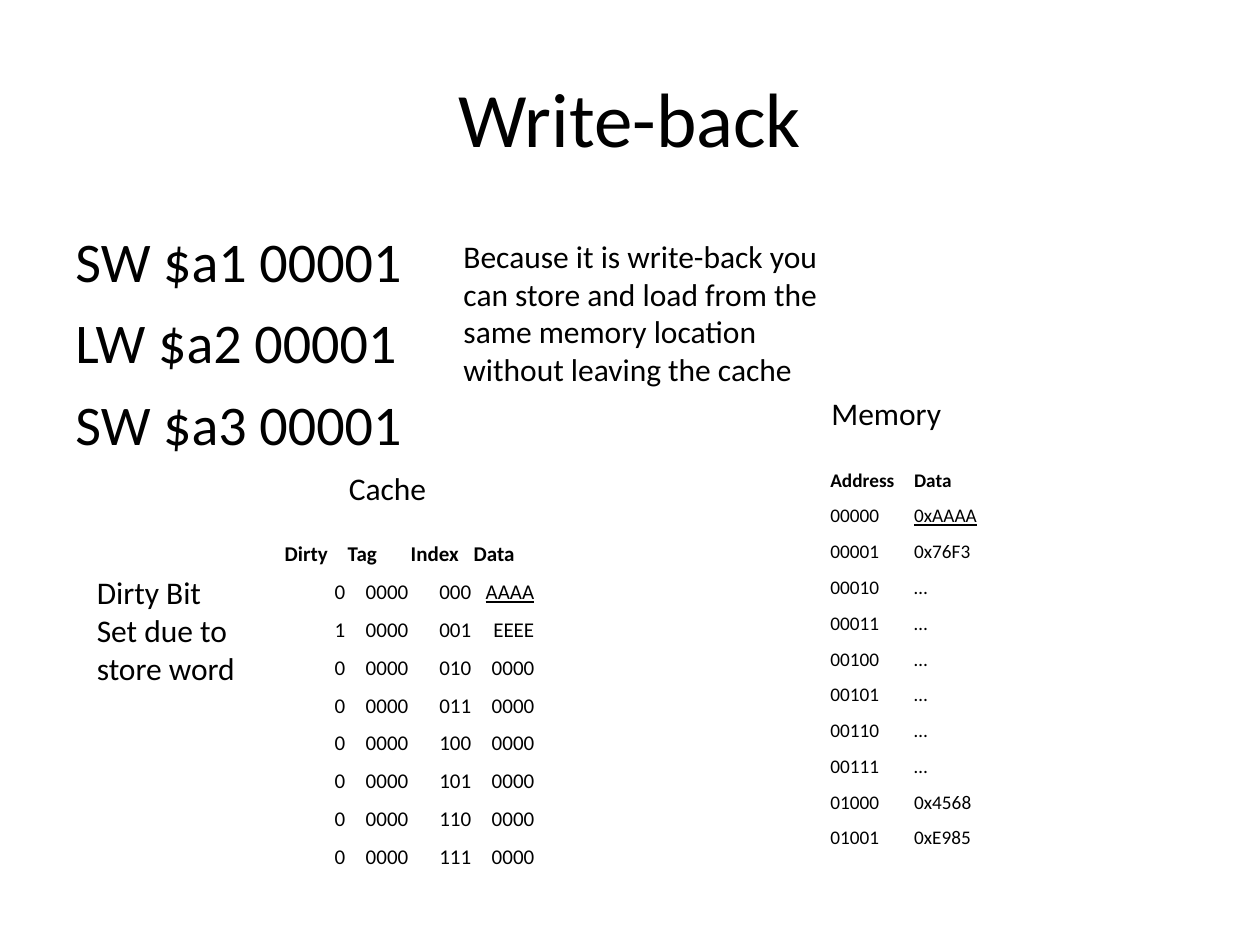
from dataclasses import dataclass

from pptx import Presentation
from pptx import util as u
from pptx.dml.color import RGBColor
from pptx.enum import text
from pptx.util import Inches


@dataclass(frozen=True)
class Theme:
    """Colours, font and type sizes of the slide."""
    ink: RGBColor = RGBColor(0, 0, 0)
    font: str = "Calibri"
    title: int = 44
    code: int = 32
    note: int = 18
    cache: int = 12
    memory: int = 11


T = Theme()
LEFT, CENTER, RIGHT = text.PP_ALIGN.LEFT, text.PP_ALIGN.CENTER, text.PP_ALIGN.RIGHT


def style(p, size, align=LEFT, bold=False):
    """Give a paragraph its font and alignment."""
    p.alignment = align
    p.font.name = T.font
    p.font.size = u.Pt(size)
    p.font.bold = bold
    p.font.color.rgb = T.ink


def add_text(s, box, lines, size, align=LEFT, anchor=text.MSO_ANCHOR.TOP, before=0):
    """Place a wrapped text box with one paragraph per line."""
    tf = s.shapes.add_textbox(*map(Inches, box)).text_frame
    tf.word_wrap = True
    tf.vertical_anchor = anchor
    for i, line in enumerate(lines):
        p = tf.add_paragraph() if i else tf.paragraphs[0]
        p.text = line
        p.space_before = u.Pt(before)
        style(p, size, align)


def add_grid(s, box, rows, size, align, underlined):
    """Place a plain table with a bold header row and equal rows and columns."""
    table = s.shapes.add_table(len(rows), len(rows[0]), *map(Inches, box)).table
    table.first_row = table.horz_banding = False
    for i, row in enumerate(rows):
        for j, value in enumerate(row):
            cell = table.cell(i, j)
            cell.fill.background()
            cell.vertical_anchor = text.MSO_ANCHOR.BOTTOM
            cell.margin_left = cell.margin_right = Inches(0.01)
            p = cell.text_frame.paragraphs[0]
            p.text = value
            style(p, size, align if i else LEFT, bold=i == 0)
            if value == underlined:
                p.runs[0].font.underline = True


def add_cache(s, x, y):
    """Place the cache label and its table."""
    data = ["AAAA", "EEEE"] + ["0000"] * 6
    rows = [("Dirty", "Tag", "Index", "Data")]
    rows += [("1" if i == 1 else "0", "0000", f"{i:03b}", d) for i, d in enumerate(data)]
    add_text(s, (x + 0.42, y, 1.67, 0.4), ["Cache"], T.note)
    add_grid(s, (x, y + 0.58, 2, 1.89), rows, T.cache, RIGHT, "AAAA")


def add_memory(s, x, y):
    """Place the memory label and its table."""
    data = ["0xAAAA", "0x76F3"] + ["…"] * 6 + ["0x4568", "0xE985"]
    rows = [("Address", "Data")] + [(f"{i:05b}", d) for i, d in enumerate(data)]
    add_text(s, (x, y, 1.33, 0.4), ["Memory"], T.note)
    add_grid(s, (x + 0.08, y + 0.59, 1.33, 2.48), rows, T.memory, LEFT, "0xAAAA")


def main():
    """Build the write-back slide."""
    prs = Presentation()
    prs.slide_width, prs.slide_height = Inches(10), Inches(7.5)
    s = prs.slides.add_slide(prs.slide_layouts[6])
    add_text(s, (0.5, 0.3, 9, 1.25), ["Write-back"], T.title, CENTER,
             text.MSO_ANCHOR.MIDDLE)
    add_text(s, (0.5, 1.75, 4.08, 4.95),
             ["SW $a1 00001", "LW $a2 00001", "SW $a3 00001"], T.code, before=8)
    add_cache(s, 2.25, 3.67)
    add_memory(s, 6.5, 3.08)
    add_text(s, (3.58, 1.83, 3.25, 1.3),
             ["Because it is write-back you can store and load from the "
              "same memory location without leaving the cache"], T.note)
    add_text(s, (0.67, 4.5, 1.33, 1), ["Dirty Bit Set due to store word"], T.note)
    prs.save("out.pptx")


if __name__ == "__main__":
    main()
